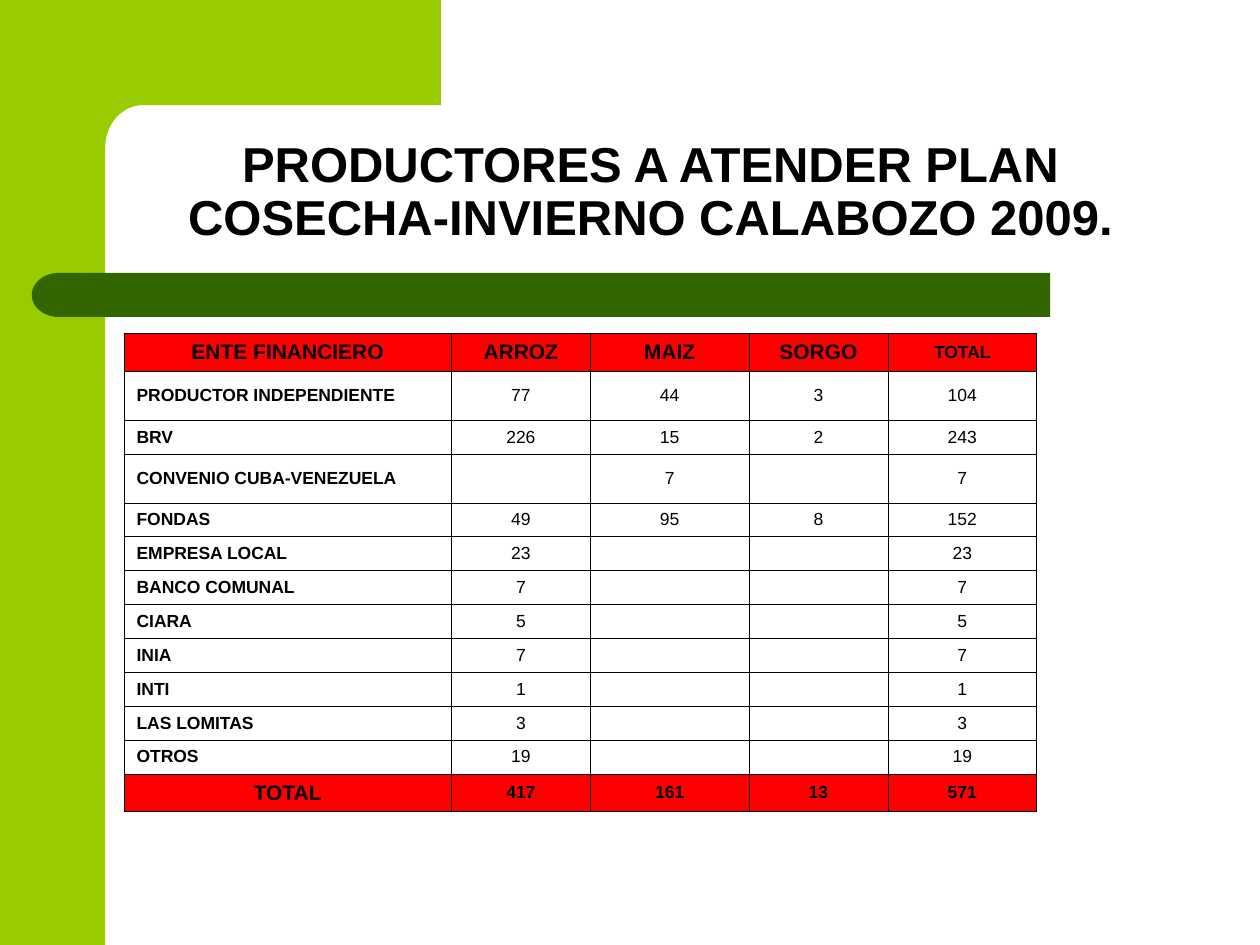
"""Build the slide of producers to be served by the Calabozo 2009 winter harvest plan."""
import math

import lxml.etree
import pptx
import pptx.dml.color
import pptx.enum.shapes
import pptx.enum.text
import pptx.oxml.ns
import pptx.util

Cm = pptx.util.Cm
SHAPES = pptx.enum.shapes.MSO_SHAPE
ALIGN = pptx.enum.text.PP_ALIGN
ANCHOR = pptx.enum.text.MSO_ANCHOR

TITLE = "PRODUCTORES A ATENDER PLAN COSECHA-INVIERNO CALABOZO 2009."
ROWS = [
    ("ENTE FINANCIERO", "ARROZ", "MAIZ", "SORGO", "TOTAL"),
    ("PRODUCTOR INDEPENDIENTE", "77", "44", "3", "104"),
    ("BRV", "226", "15", "2", "243"),
    ("CONVENIO CUBA-VENEZUELA", "", "7", "", "7"),
    ("FONDAS", "49", "95", "8", "152"),
    ("EMPRESA LOCAL", "23", "", "", "23"),
    ("BANCO COMUNAL", "7", "", "", "7"),
    ("CIARA", "5", "", "", "5"),
    ("INIA", "7", "", "", "7"),
    ("INTI", "1", "", "", "1"),
    ("LAS LOMITAS", "3", "", "", "3"),
    ("OTROS", "19", "", "", "19"),
    ("TOTAL", "417", "161", "13", "571"),
]
COLUMN_WIDTHS = [6.6, 2.8, 3.2, 2.8, 3]
BAND_HEIGHT, TALL_HEIGHT, ROW_HEIGHT = 0.76, 0.99, 0.68
TALL_ROWS = (1, 3)
LIME, GREEN, RED, BLACK = "99CC00", "336600", "FF0000", "000000"
SIDE, TOP_BAND = 2.12, 2.12


def color(value):
    return pptx.dml.color.RGBColor.from_string(value)


def paint(shape, fill):
    shape.shadow.inherit = False
    shape.fill.solid()
    shape.fill.fore_color.rgb = color(fill)
    shape.line.fill.background()


def add_block(page, kind, left, top, width, height, fill):
    shape = page.shapes.add_shape(kind, Cm(left), Cm(top), Cm(width), Cm(height))
    paint(shape, fill)
    return shape


def add_corner(page, left, right, radius_x, radius_y):
    bottom = TOP_BAND + radius_y
    angles = [math.radians(90 - 5 * step) for step in range(19)]
    arc = [(SIDE + radius_x * (1 - math.cos(angle)), bottom - radius_y * math.sin(angle))
           for angle in angles]
    outline = [(right, 0), (right, TOP_BAND), *arc, (left, bottom), (left, 0)]
    points = [(Cm(x), Cm(y)) for x, y in outline]
    builder = page.shapes.build_freeform(*points[0], scale=1)
    builder.add_line_segments(points[1:], close=True)
    paint(builder.convert_to_shape(), LIME)


def write(frame, text, size, bold=True, align=ALIGN.CENTER, spacing=None):
    paragraph = frame.paragraphs[0]
    paragraph.alignment = align
    paragraph.line_spacing = spacing
    if not text:
        ending = lxml.etree.SubElement(paragraph._p, pptx.oxml.ns.qn("a:endParaRPr"))
        ending.set("sz", str(size * 100))
        return
    span = paragraph.add_run()
    span.text = text
    span.font.name = "Arial"
    span.font.size = pptx.util.Pt(size)
    span.font.bold = bold
    span.font.color.rgb = color(BLACK)


def add_borders(cell):
    properties = cell._tc.get_or_add_tcPr()
    for side in ("lnL", "lnR", "lnT", "lnB"):
        line = lxml.etree.SubElement(properties, pptx.oxml.ns.qn("a:" + side),
                                     w=str(pptx.util.Pt(0.45)))
        fill = lxml.etree.SubElement(line, pptx.oxml.ns.qn("a:solidFill"))
        lxml.etree.SubElement(fill, pptx.oxml.ns.qn("a:srgbClr"), val=BLACK)


def add_producer_table(page, left, top):
    last = len(ROWS) - 1
    heights = [BAND_HEIGHT if row in (0, last) else TALL_HEIGHT if row in TALL_ROWS
               else ROW_HEIGHT for row in range(len(ROWS))]
    table = page.shapes.add_table(len(ROWS), len(COLUMN_WIDTHS), Cm(left), Cm(top),
                                  Cm(sum(COLUMN_WIDTHS)), Cm(sum(heights))).table
    table.first_row = table.horz_banding = False
    for column, width in zip(table.columns, COLUMN_WIDTHS):
        column.width = Cm(width)
    for row, (values, height) in enumerate(zip(ROWS, heights)):
        table.rows[row].height = Cm(height)
        band = row in (0, last)
        for column, text in enumerate(values):
            cell = table.cell(row, column)
            cell.vertical_anchor = ANCHOR.MIDDLE
            add_borders(cell)
            if band:
                cell.fill.solid()
                cell.fill.fore_color.rgb = color(RED)
            else:
                cell.fill.background()
            large = (row == 0 and column < 4) or (row == last and column == 0)
            label = column == 0 and not band
            write(cell.text_frame, text, 12 if large else 10, bold=band or label,
                  align=ALIGN.LEFT if label else ALIGN.CENTER)


def main():
    deck = pptx.Presentation()
    deck.slide_width, deck.slide_height = Cm(25.4), Cm(19.05)
    page = deck.slides.add_slide(deck.slide_layouts[5])

    add_block(page, SHAPES.RECTANGLE, 0, 0, SIDE, 19.05, LIME)
    add_corner(page, left=1.27, right=8.89, radius_x=0.76, radius_y=0.86)
    add_block(page, SHAPES.RECTANGLE, 1.7, 5.5, 19.47, 0.89, GREEN)
    add_block(page, SHAPES.FLOWCHART_DELAY, 0.64, 5.5, 1.09, 0.89, GREEN).rotation = 180

    title = page.shapes.title
    title.left, title.top, title.width, title.height = Cm(2.31), Cm(2.31), Cm(21.6), Cm(2.77)
    frame = title.text_frame
    frame.word_wrap = True
    frame.auto_size = pptx.enum.text.MSO_AUTO_SIZE.NONE
    frame.vertical_anchor = ANCHOR.BOTTOM
    write(frame, TITLE, 28, spacing=0.9)

    add_producer_table(page, 2.5, 6.72)
    deck.save("out.pptx")


if __name__ == "__main__":
    main()
